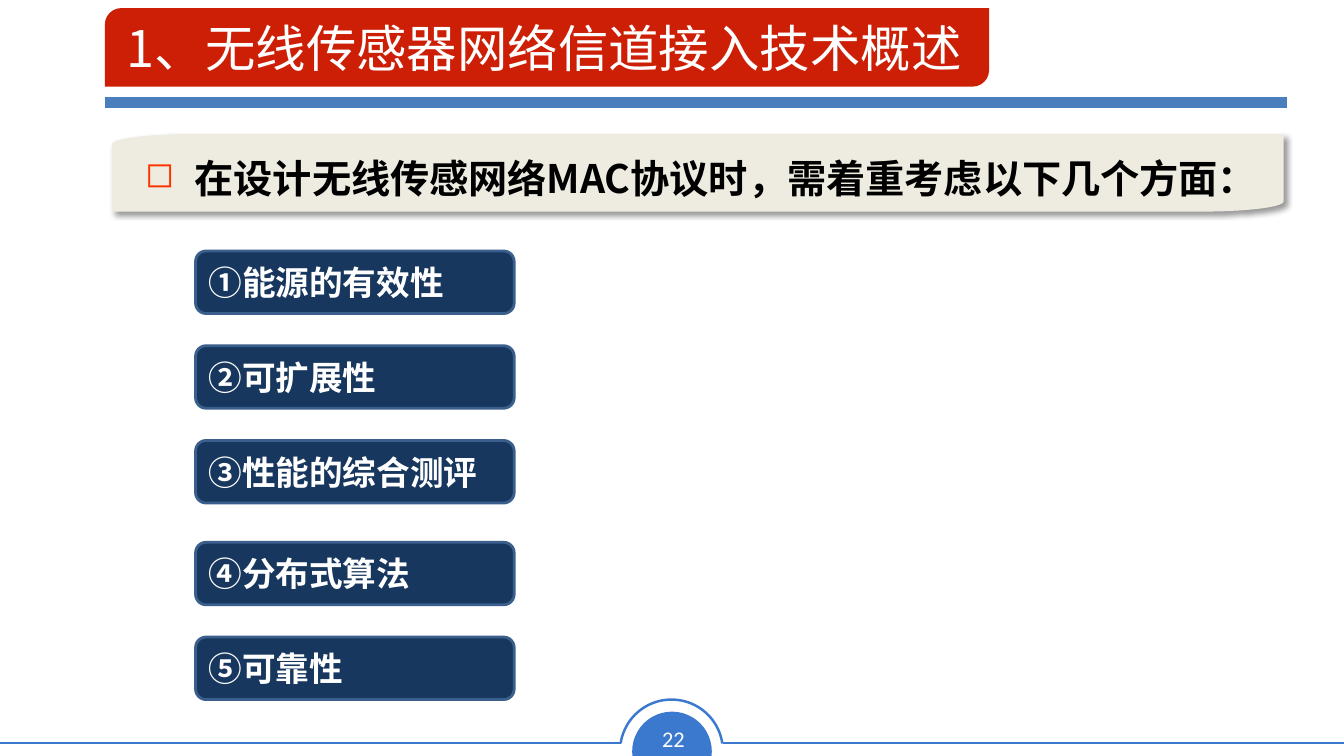
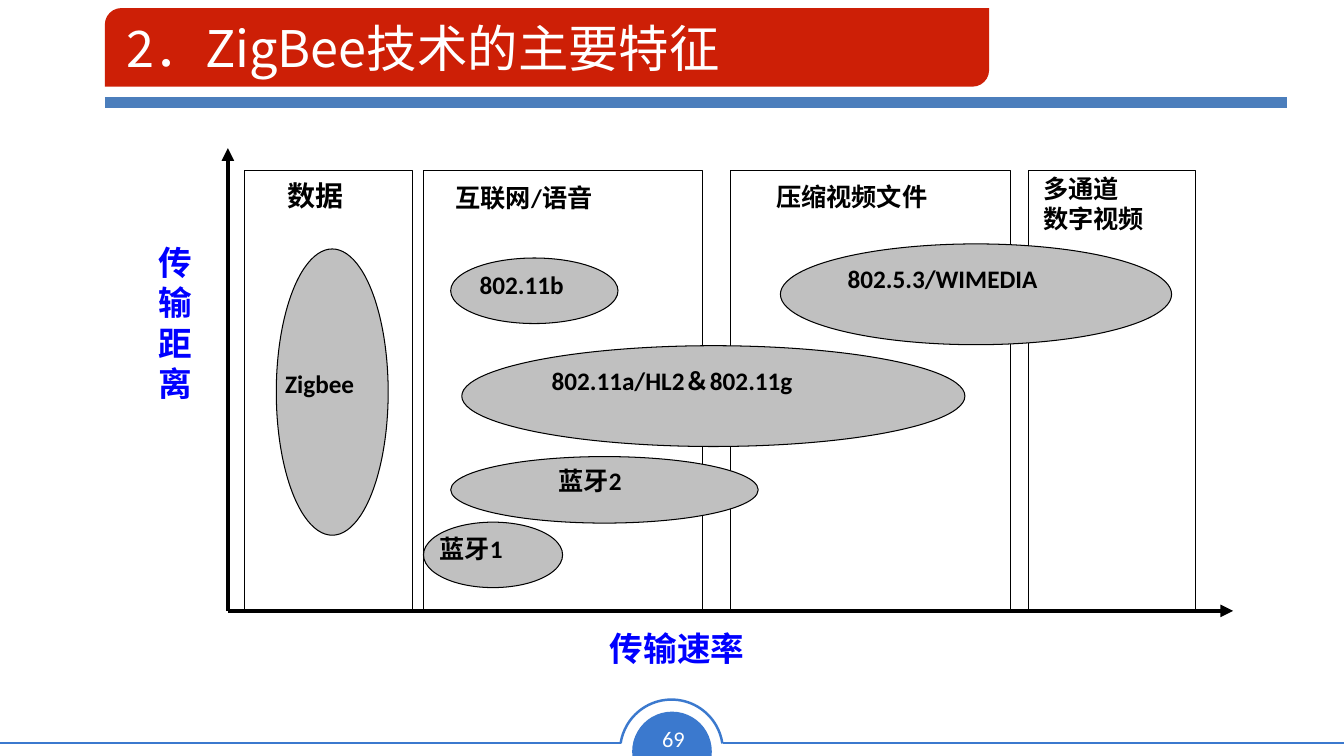
import math
from dataclasses import dataclass

import lxml.etree
import pptx
import pptx.dml.color
import pptx.enum.shapes
import pptx.enum.text
import pptx.oxml
import pptx.oxml.ns
import pptx.util

Inches = pptx.util.Inches
Pt = pptx.util.Pt
SHAPE = pptx.enum.shapes.MSO_SHAPE
ANCHOR = pptx.enum.text.MSO_ANCHOR
ALIGN = pptx.enum.text.PP_ALIGN
qn = pptx.oxml.ns.qn


@dataclass(frozen=True)
class Theme:
    # Colours
    title_red: str = "CD1F06"
    rule_blue: str = "4B7EBC"
    footer_blue: str = "3B79CE"
    banner_beige: str = "EEECE1"
    bullet_red: str = "FF3300"
    pill_navy: str = "17375E"
    pill_edge: str = "3A5F8C"
    ellipse_grey: str = "C0C0C0"
    axis_blue: str = "0000FF"
    black: str = "000000"
    white: str = "FFFFFF"
    # Fonts
    cjk_font: str = "Noto Sans CJK SC"
    pill_font: str = "Arial"
    label_font: str = "Calibri"
    # Type sizes
    title_size: int = 36
    banner_size: int = 28
    strong_size: int = 24
    heading_size: int = 20
    label_size: int = 18
    page_size: int = 16


THEME = Theme()


def rgb(value):
    return pptx.dml.color.RGBColor.from_string(value)


def add_xml(parent, tag, **attributes):
    return lxml.etree.SubElement(parent, qn(tag), attributes)


# Text
def add_run(paragraph, text, size, font, color, bold=False):
    run = paragraph.add_run()
    run.text = text
    run.font.size = Pt(size)
    run.font.name = font
    run.font.bold = bold
    run.font.color.rgb = rgb(color)
    add_xml(run.font._element, "a:ea", typeface=font)


def write(shape, lines, size, font, color, bold=False, anchor=ANCHOR.TOP,
          align=ALIGN.LEFT, pitch=None, wrap=True):
    frame = shape.text_frame
    frame.word_wrap = wrap
    frame.vertical_anchor = anchor
    for index, line in enumerate(lines):
        paragraph = frame.add_paragraph() if index else frame.paragraphs[0]
        paragraph.alignment = align
        if pitch:
            paragraph.line_spacing = pitch
        add_run(paragraph, line, size, font, color, bold)


def add_text(slide, box, lines, size, font, color, **options):
    shape = slide.shapes.add_textbox(*map(Inches, box))
    write(shape, lines, size, font, color, **options)


def add_label(slide, left, top, width, height, *lines, size=THEME.label_size, **options):
    add_text(slide, (left, top, width, height), lines, size, THEME.label_font,
             THEME.black, bold=True, **options)


# Shapes and lines
def paint(shape, fill=None, line=None, weight=0.75):
    shape.shadow.inherit = False
    if fill:
        shape.fill.solid()
        shape.fill.fore_color.rgb = rgb(fill)
    else:
        shape.fill.background()
    if line:
        shape.line.color.rgb = rgb(line)
        shape.line.width = Pt(weight)
    else:
        shape.line.fill.background()


def add_preset(slide, kind, box, adjustments=(), **style):
    shape = slide.shapes.add_shape(kind, *map(Inches, box))
    for index, value in enumerate(adjustments):
        shape.adjustments[index] = value
    paint(shape, **style)
    return shape


def add_line(slide, start, end, color, weight, arrow=False):
    line = slide.shapes.add_connector(
        pptx.enum.shapes.MSO_CONNECTOR.STRAIGHT, *map(Inches, start + end))
    line.line.color.rgb = rgb(color)
    line.line.width = Pt(weight)
    if arrow:
        add_xml(line.line._get_or_add_ln(), "a:tailEnd", type="triangle")
    add_xml(line._element.spPr, "a:effectLst")


# Parts shared by every slide
def add_footer(slide, page):
    blue = THEME.footer_blue
    disc = add_preset(slide, SHAPE.CHORD, (6.27, 7.06, 0.79, 0.79),
                      (35.77, 153.29), fill=blue)
    disc.rotation = 112.4
    for start, end in ((7.17, 13.33), (0, 6.16)):
        add_line(slide, (start, 7.37), (end, 7.37), blue, 1.77)
    add_preset(slide, SHAPE.ARC, (6.15, 6.94, 1.02, 1.02), (113.17, 210.98),
               line=blue, weight=1.77)
    add_text(slide, (6.45, 7.14, 0.46, 0.37), [page], THEME.page_size,
             THEME.label_font, THEME.white, anchor=ANCHOR.MIDDLE,
             align=ALIGN.CENTER, wrap=False)


def add_titled_slide(deck, title, page):
    slide = deck.slides.add_slide(deck.slide_layouts[6])
    add_footer(slide, page)
    add_line(slide, (1.04, 1.02), (12.76, 1.02), THEME.rule_blue, 8)
    add_preset(slide, SHAPE.ROUND_2_DIAG_RECTANGLE, (1.04, 0.08, 8.77, 0.78),
               (0.21, 0), fill=THEME.title_red)
    add_text(slide, (1.16, 0.1, 11.57, 0.74), [title], THEME.title_size,
             THEME.cjk_font, THEME.white, anchor=ANCHOR.MIDDLE)
    return slide


# Banner with two opposite elliptical corners
def corner(center_x, center_y, radius_x, radius_y, start):
    steps = 16
    angles = [math.radians(start + 90 * i / steps) for i in range(steps + 1)]
    return [(Inches(center_x + radius_x * math.cos(a)),
             Inches(center_y + radius_y * math.sin(a))) for a in angles]


def add_shadow(shape):
    effects = shape._element.spPr.find(qn("a:effectLst"))
    shadow = add_xml(effects, "a:outerShdw", blurRad=str(Pt(4)), dist=str(Pt(3)),
                     dir="2700000", algn="tl", rotWithShape="0")
    color = add_xml(shadow, "a:srgbClr", val=THEME.black)
    add_xml(color, "a:alpha", val="40000")


def add_bullet(paragraph, indent):
    properties = paragraph._p.get_or_add_pPr()
    properties.set("marL", str(Inches(indent)))
    properties.set("indent", str(-Inches(indent)))
    color = add_xml(properties, "a:buClr")
    add_xml(color, "a:srgbClr", val=THEME.bullet_red)
    add_xml(properties, "a:buSzPct", val="90000")
    add_xml(properties, "a:buChar", char="◻")


def add_banner(slide, text):
    left, top, right, bottom = 1.11, 1.33, 12.73, 2.1
    radius_x, radius_y = 0.82, 0.1
    outline = (
        corner(left + radius_x, top + radius_y, radius_x, radius_y, 180)
        + [(Inches(right), Inches(top))]
        + corner(right - radius_x, bottom - radius_y, radius_x, radius_y, 0)
        + [(Inches(left), Inches(bottom))])
    builder = slide.shapes.build_freeform(*outline[0])
    builder.add_line_segments(outline[1:], close=True)
    banner = builder.convert_to_shape()
    paint(banner, fill=THEME.banner_beige)
    add_shadow(banner)
    banner.text_frame.margin_left = Inches(0.33)
    banner.text_frame.margin_right = 0
    add_bullet(banner.text_frame.paragraphs[0], 0.49)
    write(banner, [text], THEME.banner_size, THEME.cjk_font, THEME.black,
          bold=True, anchor=ANCHOR.MIDDLE, pitch=1.2)


def add_pill(slide, top, text):
    pill = add_preset(slide, SHAPE.ROUNDED_RECTANGLE, (1.94, top, 3.16, 0.62),
                      fill=THEME.pill_navy, line=THEME.pill_edge, weight=2)
    write(pill, [text], THEME.strong_size, THEME.pill_font, THEME.white,
          bold=True, anchor=ANCHOR.MIDDLE)


def add_ellipse(slide, *box, text=None, inset=0.1):
    ellipse = add_preset(slide, SHAPE.OVAL, box, fill=THEME.ellipse_grey,
                         line=THEME.black)
    if text:
        ellipse.text_frame.margin_left = Inches(inset)
        write(ellipse, [text], THEME.label_size, THEME.label_font, THEME.black,
              bold=True)


# Slides
def build_design_aspects(deck):
    slide = add_titled_slide(deck, "1、无线传感器网络信道接入技术概述", "22")
    add_banner(slide, "在设计无线传感网络MAC协议时，需着重考虑以下几个方面：")
    aspects = ["①能源的有效性", "②可扩展性", "③性能的综合测评",
               "④分布式算法", "⑤可靠性"]
    for index, aspect in enumerate(aspects):
        group_gap = 0.07 if index > 2 else 0
        add_pill(slide, 2.49 + 0.94 * index + group_gap, aspect)


def build_zigbee_features(deck):
    slide = add_titled_slide(deck, "2．ZigBee技术的主要特征", "69")

    # Application columns
    for left, width in ((2.43, 1.66), (4.2, 2.77), (7.25, 2.77), (10.2, 1.66)):
        add_preset(slide, SHAPE.RECTANGLE, (left, 1.69, width, 4.37),
                   line=THEME.black)

    # Axes
    origin = (2.26, 6.06)
    for tip in ((12.23, 6.06), (2.26, 1.47)):
        add_line(slide, origin, tip, THEME.black, 3, arrow=True)

    # Technologies
    add_ellipse(slide, 2.74, 2.47, 1.11, 2.84)
    add_ellipse(slide, 4.47, 2.56, 1.66, 0.65)
    add_ellipse(slide, 4.47, 4.53, 3.05, 0.66)
    add_ellipse(slide, 4.2, 5.18, 1.38, 0.65)
    add_ellipse(slide, 4.58, 3.43, 4.99, 1, text="802.11a/HL2＆802.11g", inset=0.16)
    add_ellipse(slide, 7.74, 2.42, 3.88, 1, text="802.5.3/WIMEDIA")
    add_label(slide, 2.73, 3.6, 1.2, 0.4, "Zigbee")
    add_label(slide, 4.66, 2.62, 1.4, 0.4, "802.11b")
    add_label(slide, 5.44, 4.57, 1.66, 0.4, "蓝牙2")
    add_label(slide, 4.26, 5.24, 1.3, 0.4, "蓝牙1")

    # Column headings
    add_label(slide, 2.75, 1.72, 1.39, 0.4, "数据", size=THEME.heading_size)
    add_label(slide, 4.42, 1.76, 2.49, 0.4, "互联网/语音")
    add_label(slide, 7.6, 1.75, 2.4, 0.4, "压缩视频文件")
    add_label(slide, 10.25, 1.67, 1.6, 0.7, "多通道", "数字视频", pitch=Pt(21.5))

    # Axis names; the narrow box stacks one character a line
    for box, name, pitch in (((5.95, 6.18, 1.8, 0.58), "传输速率", None),
                             ((1.47, 2.35, 0.52, 1.7), "传输距离", Pt(28.8))):
        add_text(slide, box, [name], THEME.strong_size, THEME.cjk_font,
                 THEME.axis_blue, bold=True, pitch=pitch)


def main():
    deck = pptx.Presentation()
    deck.slide_width = Inches(13.33)
    deck.slide_height = Inches(7.5)
    build_design_aspects(deck)
    build_zigbee_features(deck)
    deck.save("out.pptx")


if __name__ == "__main__":
    main()
